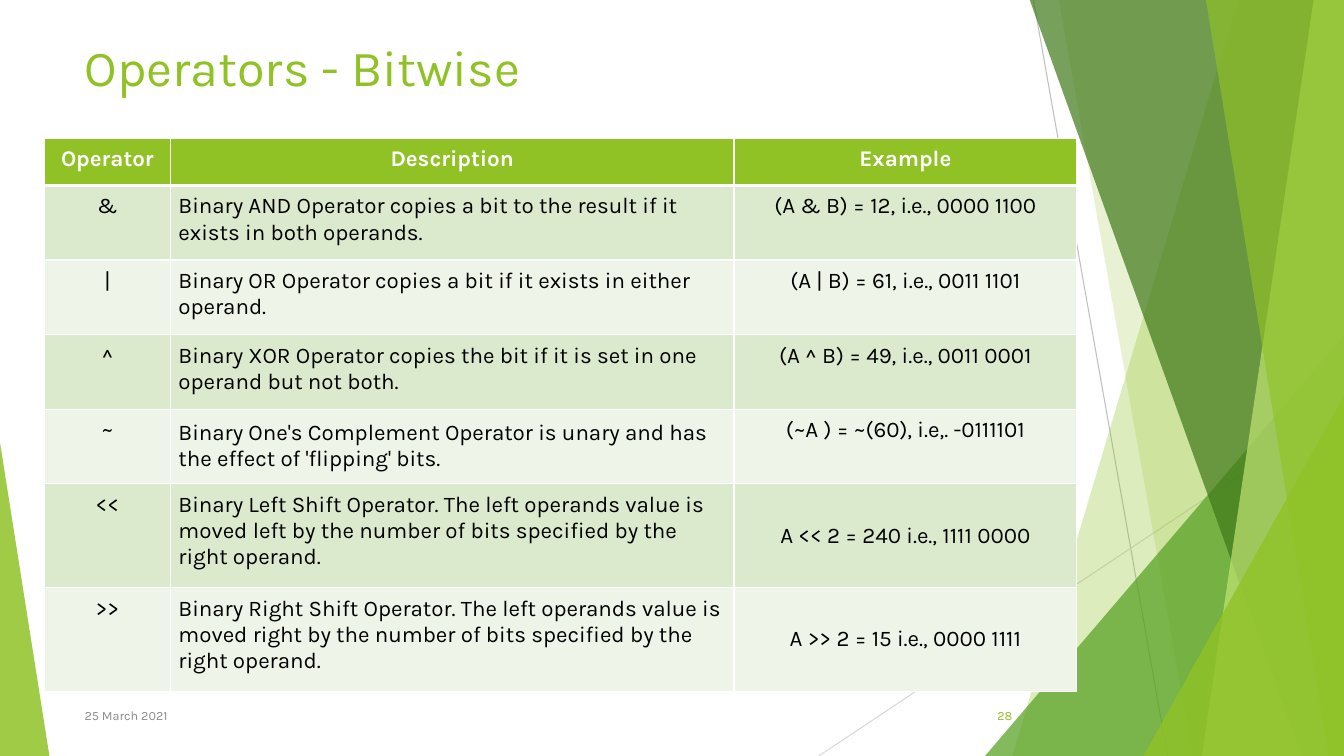
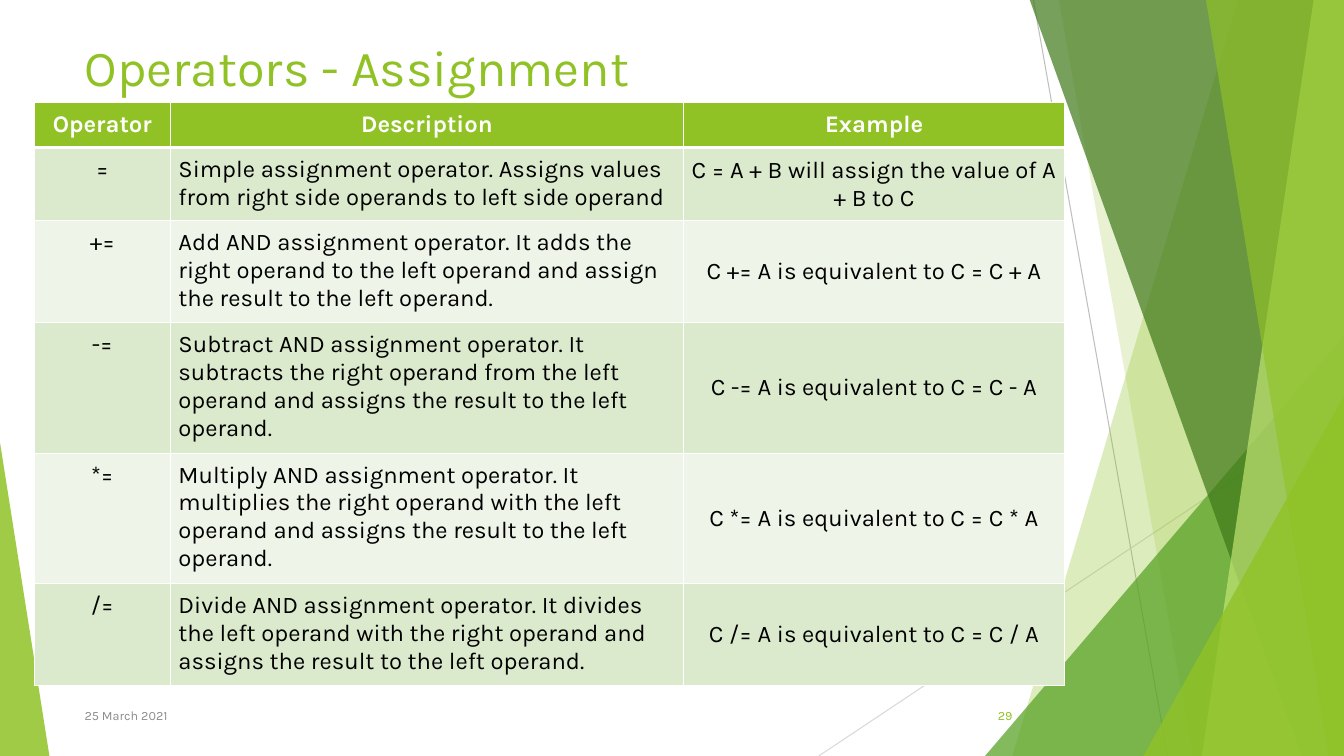
import dataclasses
import typing

import lxml.etree
import pptx
import pptx.dml.color
import pptx.enum.shapes
import pptx.enum.text
import pptx.oxml.ns
import pptx.util

EMU_PER_PX = 9144
PAGE_WIDTH, PAGE_HEIGHT = 1333, 750
CELL_INSET = 8
ALIGN = pptx.enum.text.PP_ALIGN
ANCHOR = pptx.enum.text.MSO_ANCHOR
SHAPE = pptx.enum.shapes.MSO_SHAPE


@dataclasses.dataclass(frozen=True)
class Theme:
    font: str = "Karla"
    lime: str = "90C226"
    green: str = "54A021"
    forest: str = "3F7819"
    pale_lime: str = "C0E474"
    band_dark: str = "DBE9CD"
    band_light: str = "EEF4E8"
    white: str = "FFFFFF"
    black: str = "000000"
    grey: str = "8C8C8C"
    line_dark: str = "BFBFBF"
    line_light: str = "D9D9D9"
    title_size: int = 36
    footer_size: int = 9
    hairline: float = 0.75
    border: int = 1
    header_border: int = 3


THEME = Theme()


class Box(typing.NamedTuple):
    left: int
    top: int
    width: int
    height: int


class Ray(typing.NamedTuple):
    start: tuple[int, int]
    end: tuple[int, int]
    color: str


class Facet(typing.NamedTuple):
    top_left: int
    bottom_left: int
    color: str
    opacity: int


class Wedge(typing.NamedTuple):
    box: Box
    apex: int
    color: str
    opacity: int


class OperatorRow(typing.NamedTuple):
    operator: str
    description: str
    example: str
    height: int
    example_anchor: ANCHOR = ANCHOR.MIDDLE
    description_anchor: ANCHOR = ANCHOR.TOP


@dataclasses.dataclass(frozen=True)
class OperatorPage:
    title: str
    number: int
    left: int
    top: int
    columns: tuple[int, int, int]
    header_height: int
    text_size: int
    rows: tuple[OperatorRow, ...]


TITLE_BOX = Box(74, 28, 940, 73)
NUMBER_BOX = Box(939, 690, 75, 40)
DATE_BOX = Box(74, 690, 689, 40)
DATE = "25 March 2021"

BACKDROP = (
    Ray((1025, 0), (1158, 750), THEME.line_dark),
    Ray((1333, 403), (812, 750), THEME.line_light),
    Facet(1228, 1004, THEME.lime, 30),
    Facet(1050, 1183, THEME.lime, 20),
    Wedge(Box(977, 333, 356, 417), 1, THEME.green, 72),
    Facet(1021, 1291, THEME.forest, 70),
    Facet(1303, 1192, THEME.pale_lime, 70),
    Facet(1196, 1318, THEME.lime, 65),
    Wedge(Box(1134, 393, 199, 357), 1, THEME.lime, 80),
    Wedge(Box(0, 439, 49, 311), 0, THEME.lime, 85),
)

PAGES = (
    OperatorPage("Operators - Bitwise", 28, 44, 137, (125, 559, 340), 47, 16, (
        OperatorRow("&", "Binary AND Operator copies a bit to the result if it exists in both operands.",
                    "(A & B) = 12, i.e., 0000 1100", 74, ANCHOR.TOP),
        OperatorRow("|", "Binary OR Operator copies a bit if it exists in either operand.",
                    "(A | B) = 61, i.e., 0011 1101", 74, ANCHOR.TOP),
        OperatorRow("^", "Binary XOR Operator copies the bit if it is set in one operand but not both.",
                    "(A ^ B) = 49, i.e., 0011 0001", 74, ANCHOR.TOP),
        OperatorRow("~", "Binary One's Complement Operator is unary and has the effect of 'flipping' bits.",
                    "(~A ) = ~(60), i.e,. -0111101", 74, ANCHOR.TOP, ANCHOR.MIDDLE),
        OperatorRow("<<", "Binary Left Shift Operator. The left operands value is moved left by the number "
                    "of bits specified by the right operand.", "A << 2 = 240 i.e., 1111 0000", 103),
        OperatorRow(">>", "Binary Right Shift Operator. The left operands value is moved right by the number "
                    "of bits specified by the right operand.", "A >> 2 = 15 i.e., 0000 1111", 103),
    )),
    OperatorPage("Operators - Assignment", 29, 34, 102, (135, 509, 378), 44, 17, (
        OperatorRow("=", "Simple assignment operator. Assigns values from right side operands to left side operand",
                    "C = A + B will assign the value of A + B to C", 71),
        OperatorRow("+=", "Add AND assignment operator. It adds the right operand to the left operand and "
                    "assign the result to the left operand.", "C += A is equivalent to C = C + A", 100),
        OperatorRow("-=", "Subtract AND assignment operator. It subtracts the right operand from the left "
                    "operand and assigns the result to the left operand.", "C -= A is equivalent to C = C - A", 128),
        OperatorRow("*=", "Multiply AND assignment operator. It multiplies the right operand with the left "
                    "operand and assigns the result to the left operand.", "C *= A is equivalent to C = C * A", 128),
        OperatorRow("/=", "Divide AND assignment operator. It divides the left operand with the right operand "
                    "and assigns the result to the left operand.", "C /= A is equivalent to C = C / A", 100),
    )),
)


def px(length: int) -> pptx.util.Emu:
    return pptx.util.Emu(length * EMU_PER_PX)


def emu(lengths: typing.Iterable[int]) -> list[pptx.util.Emu]:
    return [px(length) for length in lengths]


def rgb(color: str) -> pptx.dml.color.RGBColor:
    return pptx.dml.color.RGBColor.from_string(color)


def write(frame, text: str, size: int, color: str, align: ALIGN = ALIGN.LEFT, bold: bool = False) -> None:
    frame.text = text
    frame.word_wrap = True
    para = frame.paragraphs[0]
    para.alignment = align
    para.font.name = THEME.font
    para.font.size = pptx.util.Pt(size)
    para.font.bold = bold
    para.font.color.rgb = rgb(color)


def paint(shape, color: str, opacity: int) -> None:
    shape.shadow.inherit = False
    shape.line.fill.background()
    shape.fill.solid()
    shape.fill.fore_color.rgb = rgb(color)
    tint = shape.element.xpath("./p:spPr/a:solidFill/a:srgbClr")[0]
    lxml.etree.SubElement(tint, pptx.oxml.ns.qn("a:alpha"), val=str(opacity * 1000))


def draw_ray(shapes, ray: Ray) -> None:
    line = shapes.add_connector(pptx.enum.shapes.MSO_CONNECTOR.STRAIGHT, *emu(ray.start + ray.end))
    line.line.color.rgb = rgb(ray.color)
    line.line.width = pptx.util.Pt(THEME.hairline)
    properties = line.element.xpath("./p:spPr")[0]
    lxml.etree.SubElement(properties, pptx.oxml.ns.qn("a:effectLst"))


def draw_facet(shapes, facet: Facet) -> None:
    outline = shapes.build_freeform(facet.top_left, -1, scale=EMU_PER_PX)
    outline.add_line_segments(
        [(PAGE_WIDTH, -1), (PAGE_WIDTH, PAGE_HEIGHT), (facet.bottom_left, PAGE_HEIGHT)], close=True)
    paint(outline.convert_to_shape(), facet.color, facet.opacity)


def draw_wedge(shapes, wedge: Wedge) -> None:
    triangle = shapes.add_shape(SHAPE.ISOSCELES_TRIANGLE, *emu(wedge.box))
    triangle.adjustments[0] = wedge.apex
    paint(triangle, wedge.color, wedge.opacity)


def move_backdrop_to_layout(slide, layout) -> None:
    painters = {Ray: draw_ray, Facet: draw_facet, Wedge: draw_wedge}
    group = slide.shapes.add_group_shape()
    for item in BACKDROP:
        painters[type(item)](group.shapes, item)
    for number, properties in enumerate(group.element.xpath(".//p:cNvPr"), start=100):
        properties.set("id", str(number))
    layout.shapes.element.insert(2, group.element)


def add_footer(slide, box: Box, text: str, color: str, align: ALIGN) -> None:
    frame = slide.shapes.add_textbox(*emu(box)).text_frame
    write(frame, text, THEME.footer_size, color, align)
    frame.vertical_anchor = ANCHOR.MIDDLE


def add_title(slide, text: str) -> None:
    title = slide.shapes.title
    title.left, title.top, title.width, title.height = emu(TITLE_BOX)
    write(title.text_frame, text, THEME.title_size, THEME.lime)
    title.text_frame.auto_size = pptx.enum.text.MSO_AUTO_SIZE.NONE
    title.text_frame.vertical_anchor = ANCHOR.BOTTOM


def set_borders(cell, top: int, bottom: int) -> None:
    properties = cell._tc.get_or_add_tcPr()
    widths = {"lnL": THEME.border, "lnR": THEME.border, "lnT": top, "lnB": bottom}
    for position, (side, width) in enumerate(widths.items()):
        line = lxml.etree.Element(pptx.oxml.ns.qn(f"a:{side}"), w=str(pptx.util.Pt(width)))
        fill = lxml.etree.SubElement(line, pptx.oxml.ns.qn("a:solidFill"))
        lxml.etree.SubElement(fill, pptx.oxml.ns.qn("a:srgbClr"), val=THEME.white)
        properties.insert(position, line)


def fill_cell(cell, text: str, size: int, row: int, align: ALIGN, anchor: ANCHOR) -> None:
    header = row == 0
    band = THEME.band_dark if row % 2 else THEME.band_light
    write(cell.text_frame, text, size, THEME.white if header else THEME.black, align, header)
    cell.vertical_anchor = anchor
    cell.margin_left = cell.margin_right = cell.margin_top = cell.margin_bottom = px(CELL_INSET)
    cell.fill.solid()
    cell.fill.fore_color.rgb = rgb(THEME.lime if header else band)
    set_borders(cell,
                top=THEME.header_border if row == 1 else THEME.border,
                bottom=THEME.header_border if header else THEME.border)


def add_operator_table(slide, page: OperatorPage) -> None:
    header = OperatorRow("Operator", "Description", "Example", page.header_height, ANCHOR.TOP)
    rows = (header, *page.rows)
    box = Box(page.left, page.top, sum(page.columns), sum(row.height for row in rows))
    table = slide.shapes.add_table(len(rows), len(page.columns), *emu(box)).table
    for column, width in zip(table.columns, page.columns):
        column.width = px(width)
    for index, row in enumerate(rows):
        table.rows[index].height = px(row.height)
        description_align = ALIGN.LEFT if index else ALIGN.CENTER
        cells = (
            (row.operator, ALIGN.CENTER, ANCHOR.TOP),
            (row.description, description_align, row.description_anchor),
            (row.example, ALIGN.CENTER, row.example_anchor),
        )
        for column, (text, align, anchor) in enumerate(cells):
            fill_cell(table.cell(index, column), text, page.text_size, index, align, anchor)


def main() -> None:
    deck = pptx.Presentation()
    deck.slide_width, deck.slide_height = emu((PAGE_WIDTH, PAGE_HEIGHT))
    layout = deck.slide_layouts.get_by_name("Title Only")
    for index, page in enumerate(PAGES):
        slide = deck.slides.add_slide(layout)
        if index == 0:
            move_backdrop_to_layout(slide, layout)
        add_title(slide, page.title)
        add_footer(slide, NUMBER_BOX, str(page.number), THEME.lime, ALIGN.RIGHT)
        add_footer(slide, DATE_BOX, DATE, THEME.grey, ALIGN.LEFT)
        add_operator_table(slide, page)
    deck.save("out.pptx")


if __name__ == "__main__":
    main()
